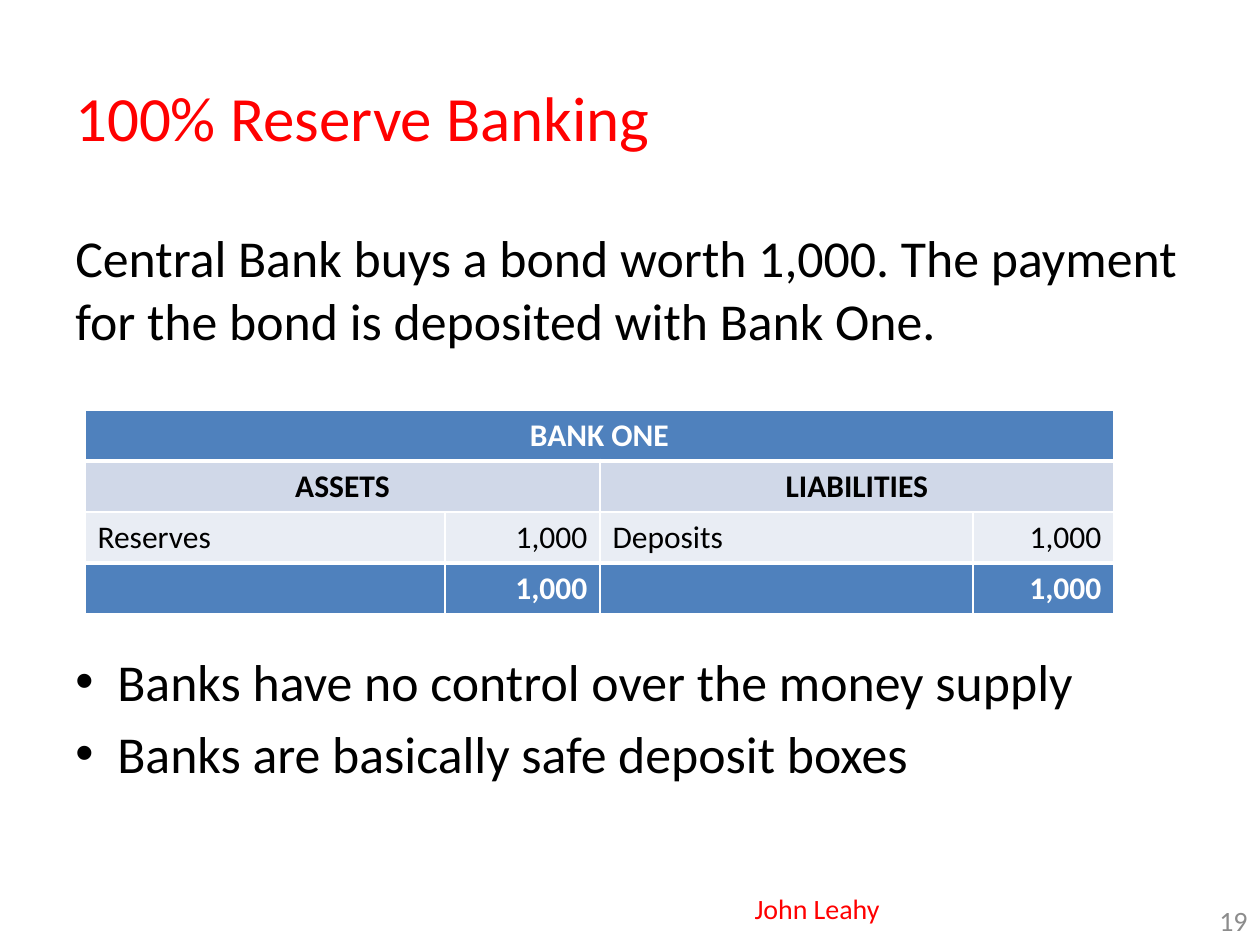
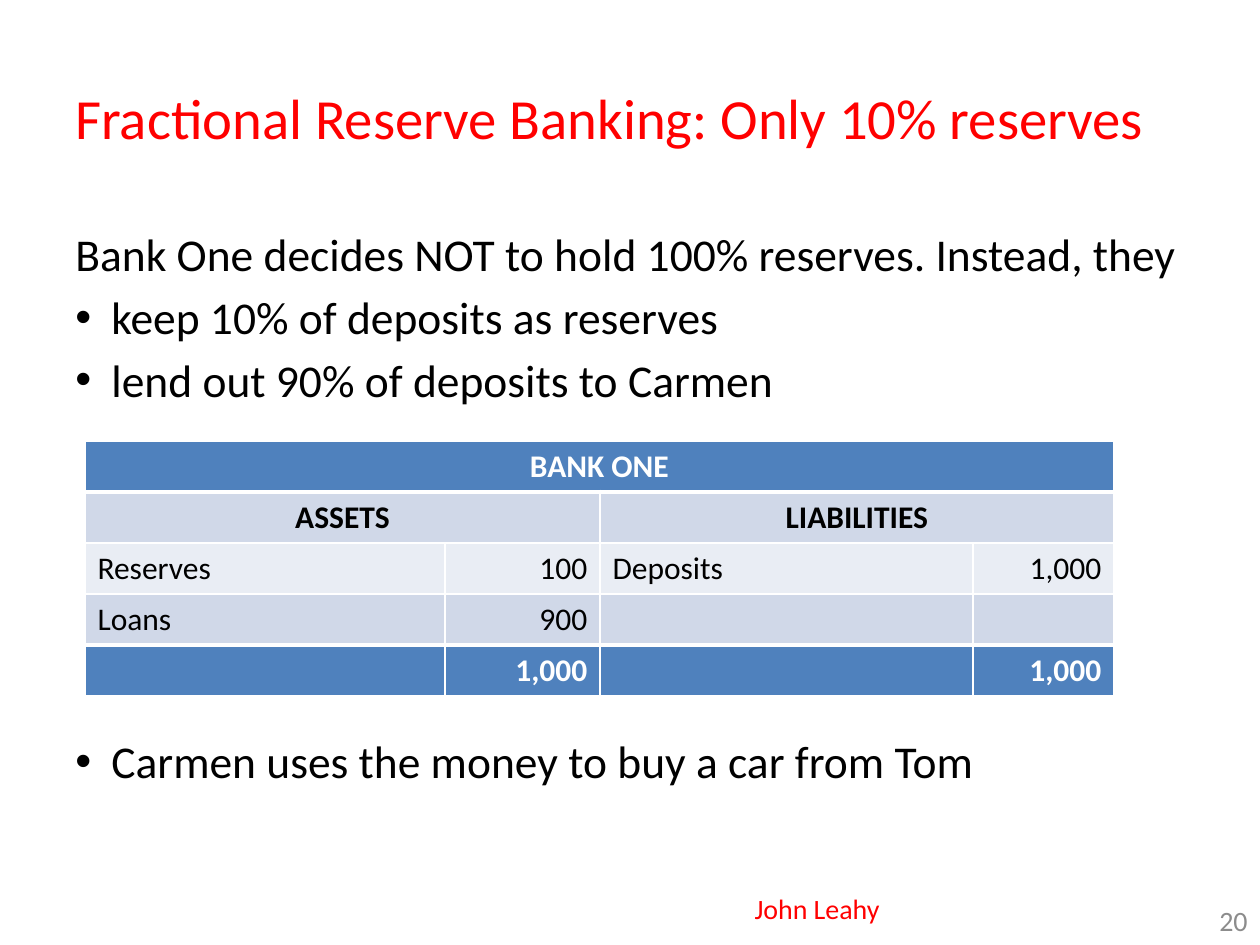
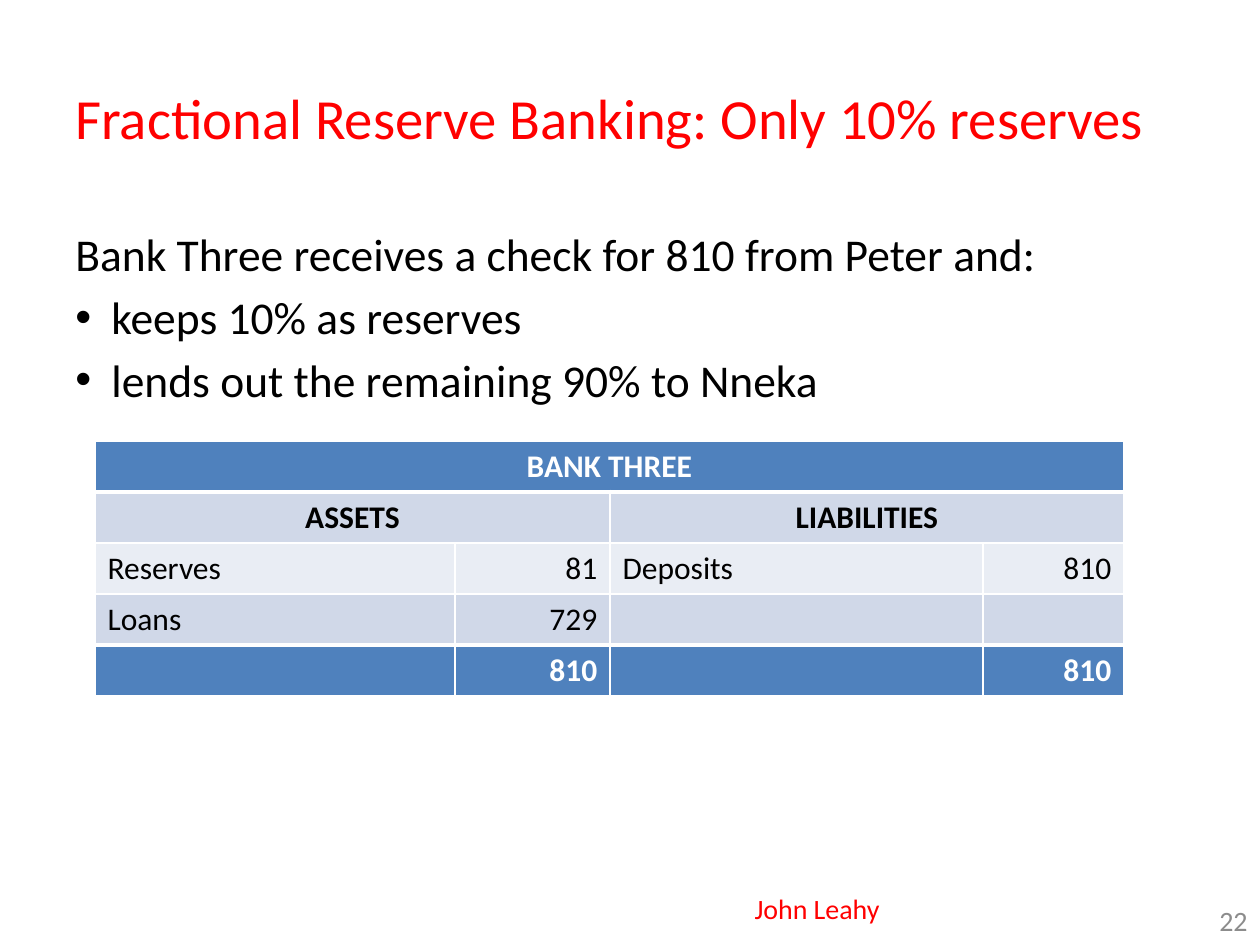
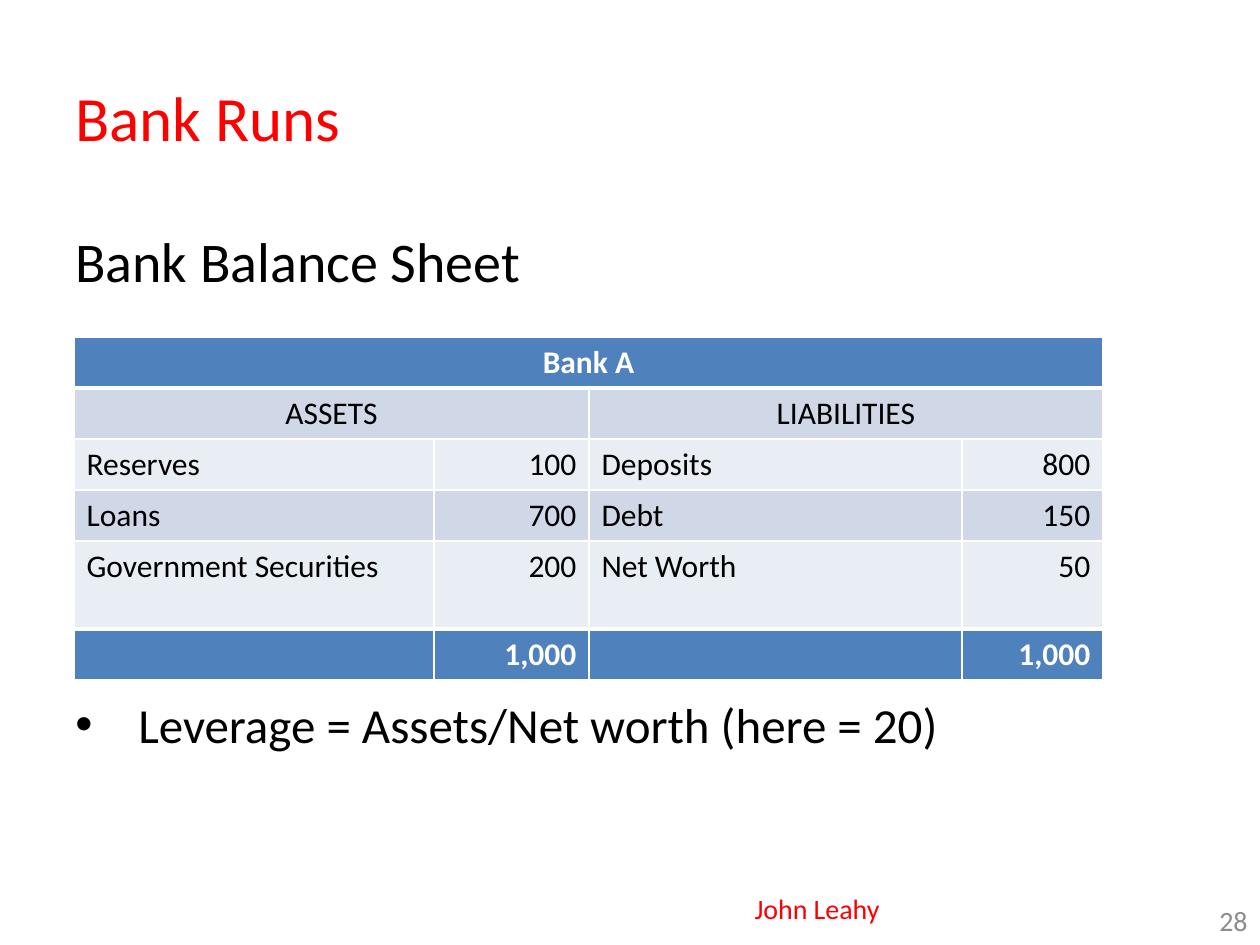
"""Build four slides on reserve banking, each with one bank balance sheet."""
from lxml.etree import SubElement
from pptx import Presentation
from pptx.dml.color import RGBColor
from pptx.enum.text import MSO_ANCHOR as Anchor, PP_ALIGN as Align
from pptx.oxml.ns import qn
from pptx.util import Emu, Pt

FONT = "Calibri"
RED, BLACK, WHITE, GREY = "FF0000", "000000", "FFFFFF", "8C8C8C"
BLUE, BAND_DARK, BAND_LIGHT = "4F81BD", "D0D8E8", "E9EDF4"
AUTHOR = "John Leahy"
COLUMNS = (360, 155, 373, 141)
ROW, TALL_ROW = 51, 88
LINE, BEFORE = 1.22, 0.18

TWO_LOANS = "Fractional Reserve Banking: Only 10% reserves"
SLIDES = [
    dict(number=19, title="100% Reserve Banking", title_size=36, size=29.6, indent=42,
         intro="Central Bank buys a bond worth 1,000. The payment for the bond "
               "is deposited with Bank One.",
         above=[], skipped=4,
         below=["Banks have no control over the money supply",
                "Banks are basically safe deposit boxes"],
         bank="BANK ONE", at=(85, 410), total="1,000",
         entries=[("Reserves", "1,000", "Deposits", "1,000")]),
    dict(number=20, title=TWO_LOANS, title_size=32.4, size=26, indent=36,
         intro="Bank One decides NOT to hold 100% reserves. Instead, they",
         above=["keep 10% of deposits as reserves", "lend out 90% of deposits to Carmen"],
         skipped=5, below=["Carmen uses the money to buy a car from Tom"],
         bank="BANK ONE", at=(85, 441), total="1,000",
         entries=[("Reserves", "100", "Deposits", "1,000"), ("Loans", "900", "", "")]),
    dict(number=22, title=TWO_LOANS, title_size=32.4, size=26, indent=36,
         intro="Bank Three receives a check for 810 from Peter and:",
         above=["keeps 10% as reserves", "lends out the remaining 90% to Nneka"],
         skipped=0, below=[],
         bank="BANK THREE", at=(95, 441), total="810",
         entries=[("Reserves", "81", "Deposits", "810"), ("Loans", "729", "", "")]),
    dict(number=28, title="Bank Runs", title_size=36, size=32, indent=63,
         intro="Bank Balance Sheet", above=[], skipped=5,
         below=["Leverage = Assets/Net worth (here = 20)"], below_size=28,
         bank="Bank A", at=(74, 337), total="1,000", plain_sides=True, tall_entry=2,
         entries=[("Reserves", "100", "Deposits", "800"), ("Loans", "700", "Debt", "150"),
                  ("Government Securities", "200", "Net Worth", "50")]),
]


def px(length):
    return Emu(round(length * 914400 / 126))


def rgb(value):
    return RGBColor.from_string(value)


def style(paragraph, size, color, align=Align.LEFT, bold=False):
    paragraph.alignment = align
    font = paragraph.font
    font.name, font.size, font.bold = FONT, Pt(size), bold
    font.color.rgb = rgb(color)


def add_frame(slide, box, anchor=Anchor.MIDDLE):
    frame = slide.shapes.add_textbox(*map(px, box)).text_frame
    frame.word_wrap, frame.vertical_anchor = True, anchor
    return frame


def add_label(slide, box, text, size, color, align=Align.LEFT):
    paragraph = add_frame(slide, box).paragraphs[0]
    paragraph.text = text
    style(paragraph, size, color, align)


def add_bullet(paragraph, indent):
    properties = paragraph._p.get_or_add_pPr()
    properties.set("marL", str(px(indent)))
    properties.set("indent", str(-px(indent)))
    bullet_font = SubElement(properties, qn("a:buFont"))
    bullet_font.set("typeface", "Arial")
    SubElement(properties, qn("a:buChar")).set("char", "•")


def add_body(slide, content):
    size = content["size"]
    frame = add_frame(slide, (63, 220, 1134, 624), Anchor.TOP)
    intro = frame.paragraphs[0]
    intro.text = content["intro"]
    style(intro, size, BLACK)
    bullets = [(text, size, 0) for text in content["above"]]
    table_gap = content["skipped"] * (LINE + BEFORE) * size
    for place, text in enumerate(content["below"]):
        bullets.append((text, content.get("below_size", size), 0 if place else table_gap))
    for text, bullet_size, gap in bullets:
        paragraph = frame.add_paragraph()
        paragraph.text = text
        paragraph.space_before = Pt(round(gap + BEFORE * bullet_size, 1))
        add_bullet(paragraph, content["indent"])
        style(paragraph, bullet_size, BLACK)


def add_borders(cell, top, bottom):
    properties = cell._tc.get_or_add_tcPr()
    for side, width in (("L", 1), ("R", 1), ("T", top), ("B", bottom)):
        line = SubElement(properties, qn("a:ln" + side), w=str(Pt(width)))
        fill = SubElement(line, qn("a:solidFill"))
        SubElement(fill, qn("a:srgbClr"), val=WHITE)


def add_balance_sheet(slide, content):
    rows = [(content["bank"], "", "", ""), ("ASSETS", "", "LIABILITIES", ""),
            *content["entries"], ("", content["total"], "", content["total"])]
    last = len(rows) - 1
    heights = [ROW] * len(rows)
    if "tall_entry" in content:
        heights[2 + content["tall_entry"]] = TALL_ROW
    table = slide.shapes.add_table(len(rows), len(COLUMNS), *map(
        px, (*content["at"], sum(COLUMNS), sum(heights)))).table
    table.last_row = True
    for column, width in zip(table.columns, COLUMNS):
        column.width = px(width)
    for r, texts in enumerate(rows):
        table.rows[r].height = px(heights[r])
        strong = r in (0, last)
        fill = BLUE if strong else BAND_DARK if r % 2 else BAND_LIGHT
        bold = strong or (r == 1 and not content.get("plain_sides"))
        for c, text in enumerate(texts):
            cell = table.cell(r, c)
            add_borders(cell, 3 if r in (1, last) else 1, 3 if r in (0, last - 1) else 1)
            cell.fill.solid()
            cell.fill.fore_color.rgb = rgb(fill)
            cell.text = text
            align = Align.CENTER if r < 2 else Align.RIGHT if c % 2 else Align.LEFT
            style(cell.text_frame.paragraphs[0], 18, WHITE if strong else BLACK, align, bold)
    for r, first, end in ((0, 0, 3), (1, 0, 1), (1, 2, 3)):
        table.cell(r, first).merge(table.cell(r, end))


deck = Presentation()
deck.slide_width, deck.slide_height = px(1260), px(945)
for content in SLIDES:
    slide = deck.slides.add_slide(deck.slide_layouts[6])
    add_label(slide, (63, 38, 1134, 157), content["title"], content["title_size"], RED)
    add_body(slide, content)
    add_label(slide, (703, 872, 189, 73), AUTHOR, 16, RED, Align.RIGHT)
    add_label(slide, (1197, 895, 63, 50), str(content["number"]), 16, GREY, Align.RIGHT)
    add_balance_sheet(slide, content)
deck.save("out.pptx")
